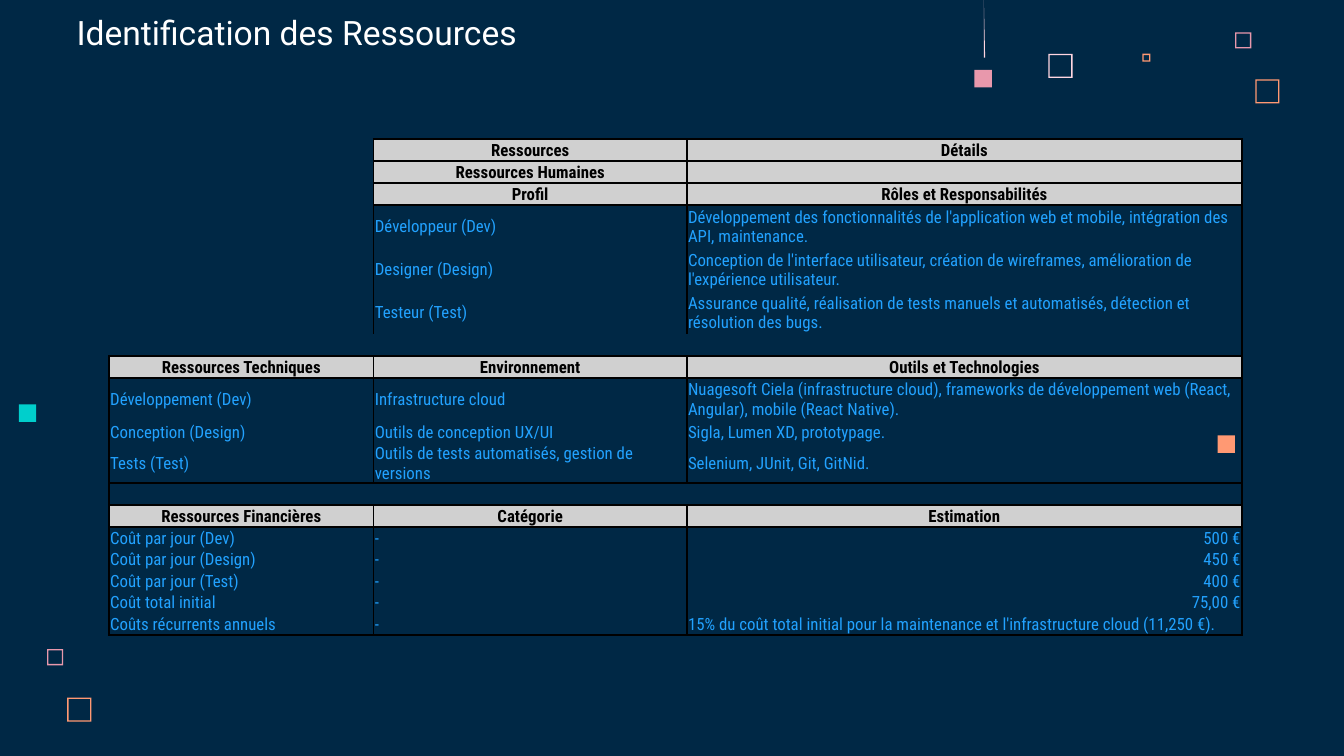
from dataclasses import dataclass

from lxml import etree
from pptx import Presentation
from pptx.dml.color import RGBColor
from pptx.enum.shapes import MSO_SHAPE
from pptx.enum.text import MSO_ANCHOR, MSO_AUTO_SIZE, PP_ALIGN
from pptx.oxml.ns import qn
from pptx.util import Inches, Pt

RECTANGLE = MSO_SHAPE.RECTANGLE
BOTTOM, MIDDLE = MSO_ANCHOR.BOTTOM, MSO_ANCHOR.MIDDLE
LEFT, CENTER, RIGHT = PP_ALIGN.LEFT, PP_ALIGN.CENTER, PP_ALIGN.RIGHT
NO_FIT = MSO_AUTO_SIZE.NONE
GRID_COLUMNS, GRID_ROWS = 100, 56.25


@dataclass(frozen=True)
class Theme:
    background: str = "002845"
    title: str = "FFFFFF"
    body: str = "22A2FF"
    header: str = "000000"
    header_fill: str = "D0D0D0"
    border: str = "000000"
    blush: str = "FFD6E1"
    pink: str = "E898AC"
    orange: str = "FF9973"
    teal: str = "00CFCC"
    title_font: str = "Roboto"
    table_font: str = "Roboto Condensed"
    title_size: int = 18
    table_size: int = 9
    empty_size: int = 6
    border_width: int = 1


THEME = Theme()

FRAMES = [
    (78, 4, 1.8, THEME.blush),
    (91.9, 2.4, 1.2, THEME.pink),
    (85, 4, 0.6, THEME.orange),
    (93.4, 5.9, 1.8, THEME.orange),
    (3.5, 48.3, 1.2, THEME.pink),
    (5, 51.9, 1.8, THEME.orange),
]
SQUARES = [
    (72.5, 5.2, THEME.pink),
    (1.4, 30.1, THEME.teal),
    (90.6, 32.4, THEME.orange),
]

SIDES = {
    "margin": ("", "B", "B"),
    "header": ("LRTB",) * 3,
    "first": ("LRT",) * 3,
    "middle": ("LR",) * 3,
    "last": ("LRB",) * 3,
    "gap": ("RB", "B", "RB"),
    "closed gap": ("LRTB", "TB", "RTB"),
}
EMPTY = ("", "", "")
COLUMN_WIDTHS = (19.7, 23.3, 41.3)
SINGLE, COMPACT, DOUBLE = 1.64, 1.6, 3.2
RESOURCES = [
    ("margin", SINGLE, EMPTY),
    ("header", SINGLE, (None, "Ressources", "Détails")),
    ("header", SINGLE, (None, "Ressources Humaines", "")),
    ("header", SINGLE, (None, "Profil", "Rôles et Responsabilités")),
    ("first", DOUBLE, (None, "Développeur (Dev)",
                       "Développement des fonctionnalités de l'application web et mobile, "
                       "intégration des API, maintenance.")),
    ("middle", DOUBLE, (None, "Designer (Design)",
                        "Conception de l'interface utilisateur, création de wireframes, "
                        "amélioration de l'expérience utilisateur.")),
    ("last", DOUBLE, (None, "Testeur (Test)",
                      "Assurance qualité, réalisation de tests manuels et automatisés, "
                      "détection et résolution des bugs.")),
    ("gap", SINGLE, EMPTY),
    ("header", SINGLE, ("Ressources Techniques", "Environnement", "Outils et Technologies")),
    ("first", DOUBLE, ("Développement (Dev)", "Infrastructure cloud",
                       "Nuagesoft Ciela (infrastructure cloud), frameworks de développement "
                       "web (React, Angular), mobile (React Native).")),
    ("middle", COMPACT, ("Conception (Design)", "Outils de conception UX/UI",
                         "Sigla, Lumen XD, prototypage.")),
    ("last", SINGLE, ("Tests (Test)", "Outils de tests automatisés, gestion de versions",
                      "Selenium, JUnit, Git, GitNid.")),
    ("closed gap", SINGLE, EMPTY),
    ("header", SINGLE, ("Ressources Financières", "Catégorie", "Estimation")),
    ("first", COMPACT, ("Coût par jour (Dev)", "-", "500 €")),
    ("middle", COMPACT, ("Coût par jour (Design)", "-", "450 €")),
    ("middle", COMPACT, ("Coût par jour (Test)", "-", "400 €")),
    ("middle", COMPACT, ("Coût total initial", "-", "75,00 €")),
    ("last", SINGLE, ("Coûts récurrents annuels", "-",
                      "15% du coût total initial pour la maintenance et l'infrastructure "
                      "cloud (11,250 €).")),
]


def rgb(color):
    return RGBColor.from_string(color)


def add_color(parent, color):
    fill = etree.SubElement(parent, qn("a:solidFill"))
    etree.SubElement(fill, qn("a:srgbClr"), val=color)


def write(text_frame, text, *, font, size, color, bold=False, align=LEFT, highlight=None):
    paragraph = text_frame.paragraphs[0]
    paragraph.alignment = align
    run = paragraph.add_run()
    run.text = text
    run.font.name = font
    run.font.size = Pt(size)
    run.font.bold = bold
    run.font.color.rgb = rgb(color)
    if highlight:
        properties = run.font._element
        mark = etree.Element(qn("a:highlight"))
        etree.SubElement(mark, qn("a:srgbClr"), val=highlight)
        properties.find(qn("a:solidFill")).addnext(mark)


class SlideBuilder:
    def __init__(self, presentation, theme):
        self.theme = theme
        self.column = presentation.slide_width / GRID_COLUMNS
        self.row = presentation.slide_height / GRID_ROWS
        self.slide = presentation.slides.add_slide(presentation.slide_layouts[5])
        self.shapes = self.slide.shapes
        fill = self.slide.background.fill
        fill.solid()
        fill.fore_color.rgb = rgb(theme.background)

    def x(self, columns):
        return round(columns * self.column)

    def y(self, rows):
        return round(rows * self.row)

    def paint(self, shape, color):
        shape.shadow.inherit = False
        shape.fill.solid()
        shape.fill.fore_color.rgb = rgb(color)
        shape.line.fill.background()

    def outline(self, contours, color):
        contours = [[(self.x(x), self.y(y)) for x, y in contour] for contour in contours]
        builder = self.shapes.build_freeform(*contours[0][0])
        for index, contour in enumerate(contours):
            if index:
                builder.move_to(*contour[0])
            builder.add_line_segments(contour[1:], close=True)
        self.paint(builder.convert_to_shape(), color)

    def frame(self, left, top, size, color, thickness=0.1):
        right, bottom = left + size, top + size
        outer = [(left, top), (left, bottom), (right, bottom), (right, top)]
        near_x, near_y = left + thickness, top + thickness
        far_x, far_y = right - thickness, bottom - thickness
        inner = [(far_x, near_y), (far_x, far_y), (near_x, far_y), (near_x, near_y)]
        self.outline([outer, inner], color)

    def square(self, left, top, color, size=1.3):
        shape = self.shapes.add_shape(
            RECTANGLE, self.x(left), self.y(top), self.x(size), self.y(size))
        self.paint(shape, color)

    def title(self, text, left, top, width, height):
        shape = self.shapes.title
        shape.left, shape.top = self.x(left), self.y(top)
        shape.width, shape.height = self.x(width), self.y(height)
        text_frame = shape.text_frame
        text_frame.auto_size = NO_FIT
        text_frame.word_wrap = True
        text_frame.vertical_anchor = BOTTOM
        text_frame.margin_left = text_frame.margin_right = self.x(1)
        text_frame.margin_top = text_frame.margin_bottom = self.y(1)
        write(text_frame, text, font=self.theme.title_font,
              size=self.theme.title_size, color=self.theme.title)

    def borders(self, cell, sides):
        properties = cell._tc.get_or_add_tcPr()
        for side in "LRTB":
            line = etree.SubElement(
                properties, qn(f"a:ln{side}"), w=str(Pt(self.theme.border_width)))
            if side in sides:
                add_color(line, self.theme.border)
            else:
                etree.SubElement(line, qn("a:noFill"))

    def cell(self, cell, text, sides, is_header):
        theme = self.theme
        cell.margin_left = cell.margin_right = self.x(0.1)
        cell.margin_top, cell.margin_bottom = self.y(0.1), 0
        cell.vertical_anchor = MIDDLE
        self.borders(cell, sides)
        if is_header:
            cell.fill.solid()
            cell.fill.fore_color.rgb = rgb(theme.header_fill)
        else:
            cell.fill.background()
        if not text:
            paragraph = cell.text_frame.paragraphs[0]
            etree.SubElement(
                paragraph._p, qn("a:endParaRPr"), sz=str(theme.empty_size * 100))
            return
        body_align = RIGHT if text.endswith("€") else LEFT
        write(cell.text_frame, text, font=theme.table_font, size=theme.table_size,
              color=theme.header if is_header else theme.body, bold=is_header,
              align=CENTER if is_header else body_align,
              highlight=theme.header_fill if is_header else None)

    def table(self, left, top, widths, rows):
        height = sum(row_height for _, row_height, _ in rows)
        table = self.shapes.add_table(
            len(rows), len(widths), self.x(left), self.y(top),
            self.x(sum(widths)), self.y(height)).table
        table.first_row = table.horz_banding = False
        for column, width in zip(table.columns, widths):
            column.width = self.x(width)
        for index, (kind, row_height, texts) in enumerate(rows):
            table.rows[index].height = self.y(row_height)
            for position, (text, sides) in enumerate(zip(texts, SIDES[kind])):
                blank = text is None
                self.cell(table.cell(index, position), text,
                          "R" if blank else sides, kind == "header" and not blank)
            if "gap" in kind:
                table.cell(index, 0).merge(table.cell(index, len(widths) - 1))


def main():
    presentation = Presentation()
    presentation.slide_width = Inches(10)
    presentation.slide_height = presentation.slide_width * 9 // 16
    builder = SlideBuilder(presentation, THEME)
    for frame in FRAMES:
        builder.frame(*frame)
    for square in SQUARES:
        builder.square(*square)
    builder.outline([[(73.2, 0), (73.2, 4.3), (73.3, 4.3)]], THEME.blush)
    builder.title("Identification des Ressources", 4.7, 1.3, 50.5, 3.6)
    builder.table(8.1, 8.7, COLUMN_WIDTHS, RESOURCES)
    presentation.save("out.pptx")


if __name__ == "__main__":
    main()
